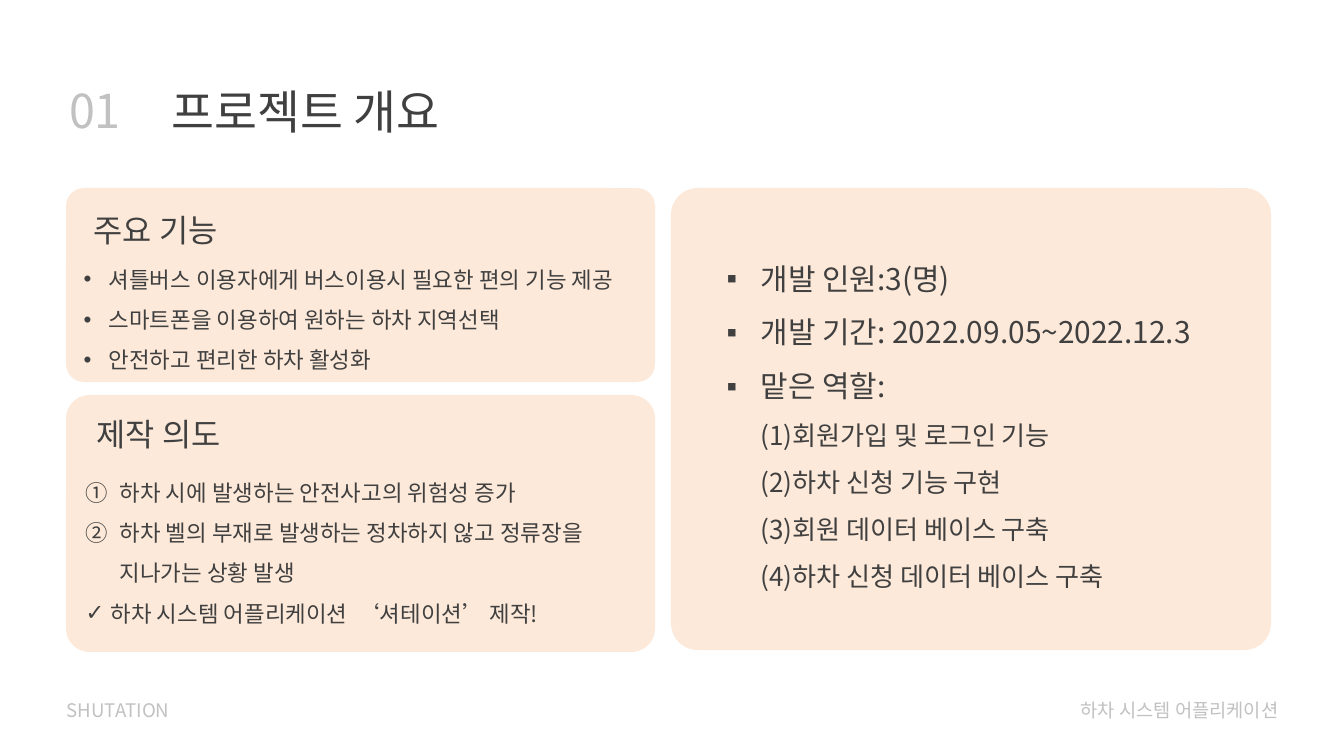
from lxml.etree import SubElement
from pptx import Presentation
from pptx.dml.color import RGBColor
from pptx.enum.shapes import MSO_SHAPE as Preset
from pptx.enum.text import MSO_ANCHOR as Anchor, MSO_AUTO_SIZE as AutoSize, PP_ALIGN as Align
from pptx.oxml.ns import qn
from pptx.util import Pt

EMU_PER_PX = 914400 / 67.2
FONT = "Noto Sans CJK KR"
INK, PALE, PEACH = "404040", "C1C1C1", "FCD5B5"


def px(length):
    return round(length * EMU_PER_PX)


def color(hex_code):
    return RGBColor.from_string(hex_code)


class Page:
    """Holds the style and the current slide."""

    def __init__(self, slide):
        self.slide = slide
        self.shapes = slide.shapes

    def card(self, box, radius):
        card = self.shapes.add_shape(Preset.ROUNDED_RECTANGLE, *map(px, box))
        card.adjustments[0] = radius
        card.shadow.inherit = False
        card.fill.solid()
        card.fill.fore_color.rgb = color(PEACH)
        tint = card.fill._xPr.find(qn("a:solidFill"))[0]
        SubElement(tint, qn("a:alpha"), val="50000")
        card.line.fill.background()

    def holder(self, index, box):
        """Places a template placeholder in front of the cards."""
        holder = self.slide.placeholders[index]
        holder.left, holder.top, holder.width, holder.height = map(px, box)
        self.shapes._spTree.append(holder._element)
        return holder

    def label(self, box):
        return self.shapes.add_textbox(*map(px, box))

    def set_text(self, target, lines, size, ink=INK, align=Align.LEFT, spacing=1.0):
        """Fills a text shape; each line is (text, bullet, indent px, size)."""
        frame = target.text_frame
        frame.word_wrap = True
        frame.auto_size = AutoSize.SHAPE_TO_FIT_TEXT
        frame.vertical_anchor = Anchor.TOP
        for number, (text, bullet, indent, own_size) in enumerate(lines):
            line = frame.paragraphs[0] if number == 0 else frame.add_paragraph()
            line.text = text
            line.alignment = align
            line.line_spacing = spacing
            line.space_before = Pt(0)
            self.bullet(line, bullet, indent)
            line.font.name = FONT
            SubElement(line.font._rPr, qn("a:ea"), typeface=FONT)
            line.font.size = Pt(own_size or size)
            line.font.bold = False
            line.font.color.rgb = color(ink)

    def bullet(self, line, bullet, indent):
        props = line._p.get_or_add_pPr()
        props.set("marL", str(px(indent)))
        props.set("indent", str(-px(indent)))
        if bullet is None:
            SubElement(props, qn("a:buNone"))
        elif bullet == "circleNumDbPlain":
            SubElement(props, qn("a:buAutoNum"), type=bullet)
        else:
            SubElement(props, qn("a:buFont"), typeface="Arial")
            SubElement(props, qn("a:buChar"), char=bullet)


def plain(text):
    return [(text, None, 0, None)]


def main():
    deck = Presentation()
    deck.slide_width, deck.slide_height = px(1344), px(756)
    page = Page(deck.slides.add_slide(deck.slide_layouts[4]))

    # Cards
    page.card((671, 188, 600, 462), 0.058)
    page.card((66, 188, 589, 194), 0.092)
    page.card((66, 395, 589, 257), 0.092)

    # Title and section number
    page.set_text(page.holder(0, (165, 79, 802, 63)), plain("프로젝트 개요"), 50)
    section = page.label((63, 79, 124, 63))
    page.set_text(section, plain("01"), 50, PALE)
    section.text_frame.paragraphs[0].font._rPr.set("spc", "-100")

    # Main features
    page.set_text(page.holder(1, (87, 207, 554, 45)), plain("주요 기능"), 34)
    features = ["셔틀버스 이용자에게 버스이용시 필요한 편의 기능 제공",
                "스마트폰을 이용하여 원하는 하차 지역선택",
                "안전하고 편리한 하차 활성화"]
    page.set_text(page.holder(2, (77, 249, 582, 124)),
                  [(feature, "•", 25, None) for feature in features], 24, spacing=1.5)

    # Purpose
    page.set_text(page.holder(3, (90, 411, 554, 45)), plain("제작 의도"), 34)
    reasons = ["하차 시에 발생하는 안전사고의 위험성 증가",
               "하차 벨의 부재로 발생하는 정차하지 않고 정류장을 지나가는 상황 발생"]
    purpose = [(reason, "circleNumDbPlain", 34, None) for reason in reasons]
    purpose.append(("하차 시스템 어플리케이션  ‘셔테이션’ 제작!", "✓", 25, None))
    page.set_text(page.holder(4, (79, 462, 582, 165)), purpose, 24, spacing=1.5)

    # Team, schedule and roles
    facts = ["개발 인원:3(명)", "개발 기간: 2022.09.05~2022.12.3", "맡은 역할:"]
    roles = ["회원가입 및 로그인 기능", "하차 신청 기능 구현",
             "회원 데이터 베이스 구축", "하차 신청 데이터 베이스 구축"]
    overview = [(fact, "▪", 34, None) for fact in facts]
    overview += [(f"\t({number}){role}", None, 0, 28)
                 for number, role in enumerate(roles, 1)]
    page.set_text(page.label((720, 239, 519, 354)), overview, 32, spacing=1.5)

    # Footer
    page.set_text(page.label((60, 696, 743, 30)), plain("SHUTATION"), 20, PALE)
    page.set_text(page.label((712, 696, 573, 30)), plain("하차 시스템 어플리케이션"),
                  20, PALE, Align.RIGHT)

    deck.save("out.pptx")


if __name__ == "__main__":
    main()
